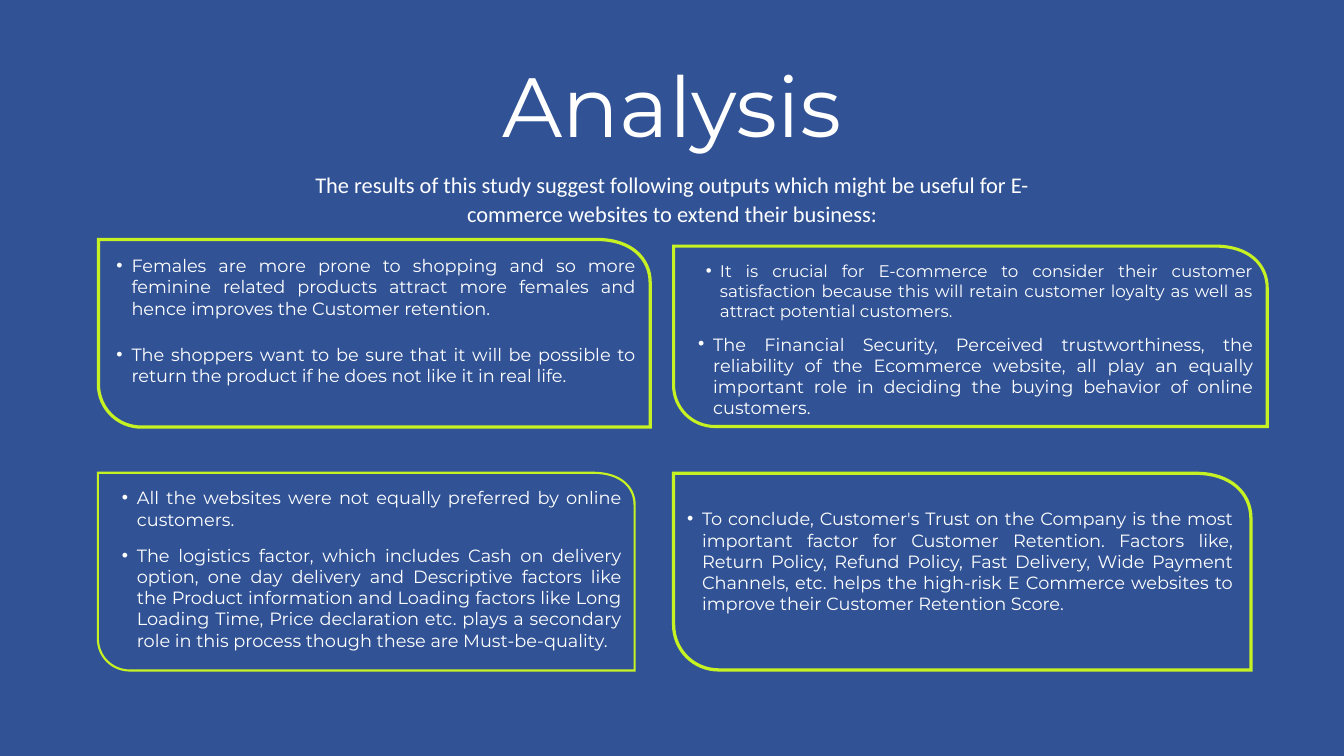
import pptx
import pptx.dml.color
import pptx.enum.text
import pptx.oxml.ns
import pptx.util
from lxml import etree

Pt = pptx.util.Pt
qn = pptx.oxml.ns.qn
ALIGN = pptx.enum.text.PP_ALIGN

# Content
COLORS = {"background": "315396", "text": "FFFFFF", "frame": "C6F223"}
TITLE = "Analysis"
SUBTITLE = ("The results of this study suggest following outputs which might be "
            "useful for E-commerce websites to extend their business:")

# frame: left, top, width, height, corner radius, thickness
# bullets: text, size, (left, top, width, height)
PANELS = [
    {"frame": (103.7, 254.9, 594.7, 204.5, 48, 3.5),
     "bullets": [
         ("Females are more prone to shopping and so more feminine related products "
          "attract more females and hence improves the Customer retention.",
          19, (108.7, 273, 572.4, 67)),
         ("The shoppers want to be sure that it will be possible to return the product "
          "if he does not like it in real life.", 19, (108.7, 368.5, 572.4, 44.6))]},
    {"frame": (720, 262.1, 639.4, 196.6, 46.5, 3.3),
     "bullets": [
         ("It is crucial for E-commerce to consider their customer satisfaction because "
          "this will retain customer loyalty as well as attract potential customers.",
          18, (741, 279.4, 601.2, 63.4)),
         ("The Financial Security, Perceived trustworthiness, the reliability of the "
          "Ecommerce website, all play an equally important role in deciding the buying "
          "behavior of online customers.", 19, (732, 357.1, 610.6, 67.7))]},
    {"frame": (103.7, 505.4, 577.4, 214.2, 35.5, 2.3),
     "bullets": [
         ("All the websites were not equally preferred by online customers.",
          19, (114.5, 522, 551.5, 44.6)),
         ("The logistics factor, which includes Cash on delivery option, one day delivery "
          "and Descriptive factors like the Product information and Loading factors like "
          "Long Loading Time, Price declaration etc. plays a secondary role in this "
          "process though these are Must-be-quality.", 19, (114.5, 583.2, 551.5, 112.3))]},
    {"frame": (720, 505.4, 622.1, 214.2, 50.4, 3.5),
     "bullets": [
         ("To conclude, Customer's Trust on the Company is the most important factor for "
          "Customer Retention. Factors like, Return Policy, Refund Policy, Fast Delivery, "
          "Wide Payment Channels, etc. helps the high-risk E Commerce websites to improve "
          "their Customer Retention Score.", 19, (720, 544.3, 601.2, 112.3))]},
]
INDENTS = {18: (30.4, 15.2), 19: (32.2, 16.1)}  # text and hanging indent by text size
CORNER_STRETCH = 10.5  # the top right corner is wider than it is high
CURVE_PULL = 0.44      # distance of control points from the corner, per radius


def rgb(name):
    return pptx.dml.color.RGBColor.from_string(COLORS[name])


def apply(target, values):
    for name, value in values.items():
        setattr(target, name, value)


def place(box, left, top, width, height):
    apply(box, {"left": Pt(left), "top": Pt(top), "width": Pt(width), "height": Pt(height)})
    apply(box.text_frame, {
        "margin_left": 0, "margin_top": 0, "margin_right": 0, "margin_bottom": 0,
        "word_wrap": True, "auto_size": pptx.enum.text.MSO_AUTO_SIZE.NONE,
        "vertical_anchor": pptx.enum.text.MSO_ANCHOR.TOP})


def write(box, text, size, line, font, align):
    para = box.text_frame.paragraphs[0]
    apply(para, {"alignment": align, "line_spacing": Pt(line),
                 "space_before": Pt(0), "space_after": Pt(0)})
    span = para.add_run()
    span.text = text
    apply(span.font, {"size": Pt(size), "name": font, "bold": False})
    span.font.color.rgb = rgb("text")


def add_bullet(para, indent, hanging):
    para.level = 1
    properties = para._p.get_or_add_pPr()
    properties.set("marL", str(Pt(indent)))
    properties.set("indent", str(-Pt(hanging)))
    for tag, key, value in (("a:buFont", "typeface", "Arial"), ("a:buChar", "char", "•")):
        etree.SubElement(properties, qn(tag)).set(key, value)


def outline(left, top, width, height, radius, inset):
    """Points of the frame edge, and control points of its two round corners."""
    x1, y1 = left + inset, top + inset
    x2, y2 = left + width - inset, top + height - inset
    right = left + width - radius - CORNER_STRETCH
    pull = CURVE_PULL * (radius - inset)
    points = [(x1, y1), (x1, top + height - radius), (left + radius, y2),
              (x2, y2), (x2, top + radius), (right, y1)]
    controls = [((x1, y2 - pull), (x1 + pull, y2)), ((x2, y1 + pull), (x2 - pull, y1))]
    return [(Pt(x), Pt(y)) for x, y in points], controls


def add_frame(page, left, top, width, height, radius, thickness):
    (outer, outer_controls), (inner, inner_controls) = (
        outline(left, top, width, height, radius, inset) for inset in (0, thickness))
    builder = page.shapes.build_freeform(*outer[0])
    builder.add_line_segments(outer[1:], close=True)
    builder.move_to(*inner[0])
    builder.add_line_segments(inner[1:], close=True)
    frame = builder.convert_to_shape()

    # Turn the corner segments into curves
    segments = list(frame._element.iter(qn("a:lnTo")))
    corners = [segments[number] for number in (1, 4, 6, 9)]
    for segment, controls in zip(corners, outer_controls + inner_controls):
        segment.tag = qn("a:cubicBezTo")
        for position, (x, y) in enumerate(controls):
            point = etree.Element(qn("a:pt"))
            point.set("x", str(Pt(x - left)))
            point.set("y", str(Pt(y - top)))
            segment.insert(position, point)

    frame.shadow.inherit = False
    frame.fill.solid()
    frame.fill.fore_color.rgb = rgb("frame")
    frame.line.fill.background()


def main():
    deck = pptx.Presentation()
    apply(deck, {"slide_width": Pt(1440), "slide_height": Pt(810)})
    page = deck.slides.add_slide(deck.slide_layouts.get_by_name("Comparison"))
    page.background.fill.solid()
    page.background.fill.fore_color.rgb = rgb("background")
    bodies = [box for box in page.placeholders if box.placeholder_format.idx in range(1, 5)]

    # Heading
    title = page.shapes.title
    place(title, 295.9, 66.2, 848.2, 103.7)
    write(title, TITLE, 90, 99, "Montserrat", ALIGN.CENTER)
    subtitle = page.shapes.add_textbox(0, 0, 0, 0)
    place(subtitle, 295.9, 180.7, 848.2, 91.4)
    write(subtitle, SUBTITLE, 24, 31.2, "Calibri", ALIGN.CENTER)

    # Frames, each with a body placeholder and a text box for a second point
    for body, panel in zip(bodies, PANELS):
        add_frame(page, *panel["frame"])
        for number, (text, size, area) in enumerate(panel["bullets"]):
            box = page.shapes.add_textbox(0, 0, 0, 0) if number else body
            place(box, *area)
            add_bullet(box.text_frame.paragraphs[0], *INDENTS[size])
            write(box, text, size, 1.2 * size, "Montserrat", ALIGN.JUSTIFY)

    deck.save("out.pptx")


if __name__ == "__main__":
    main()
